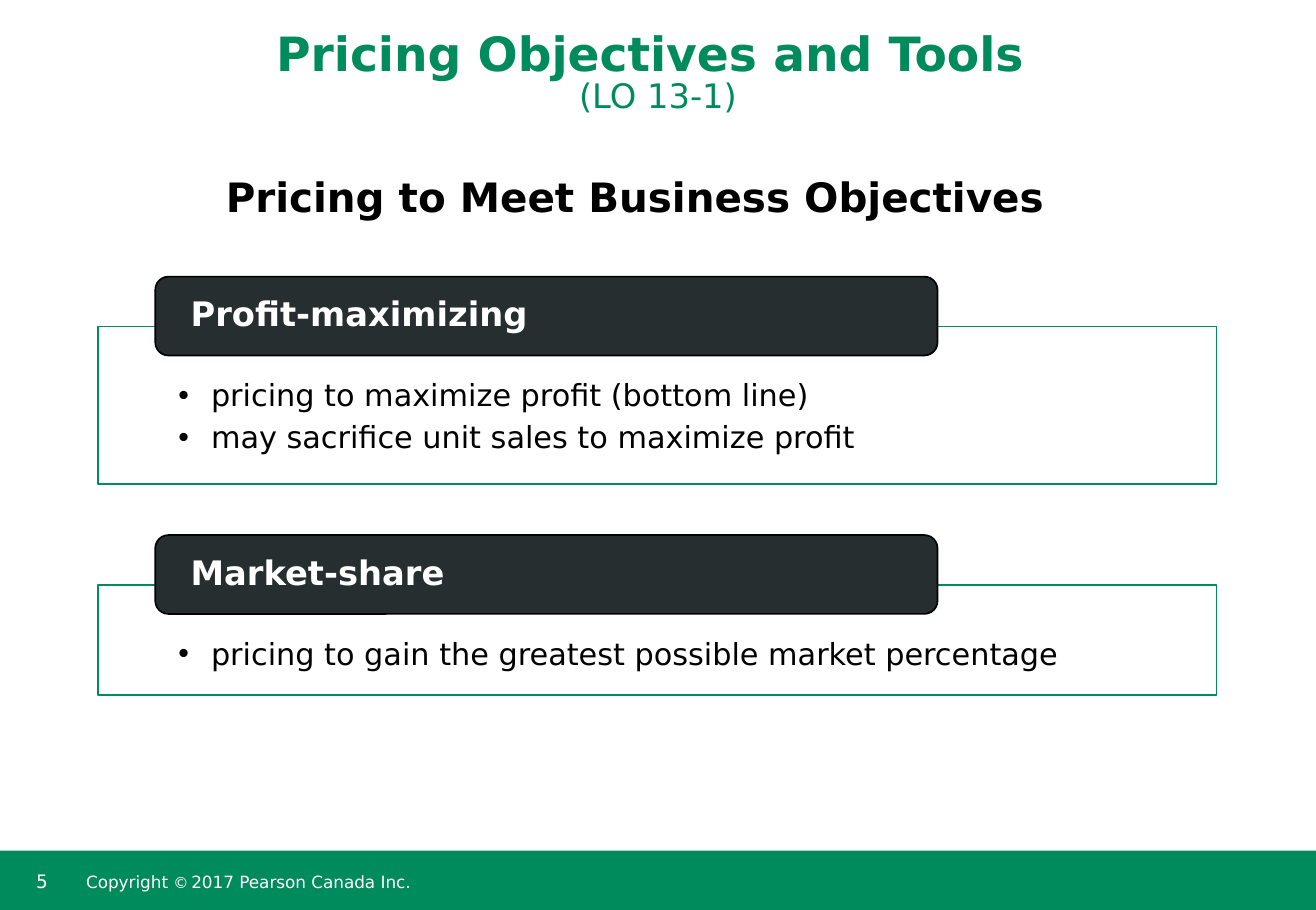
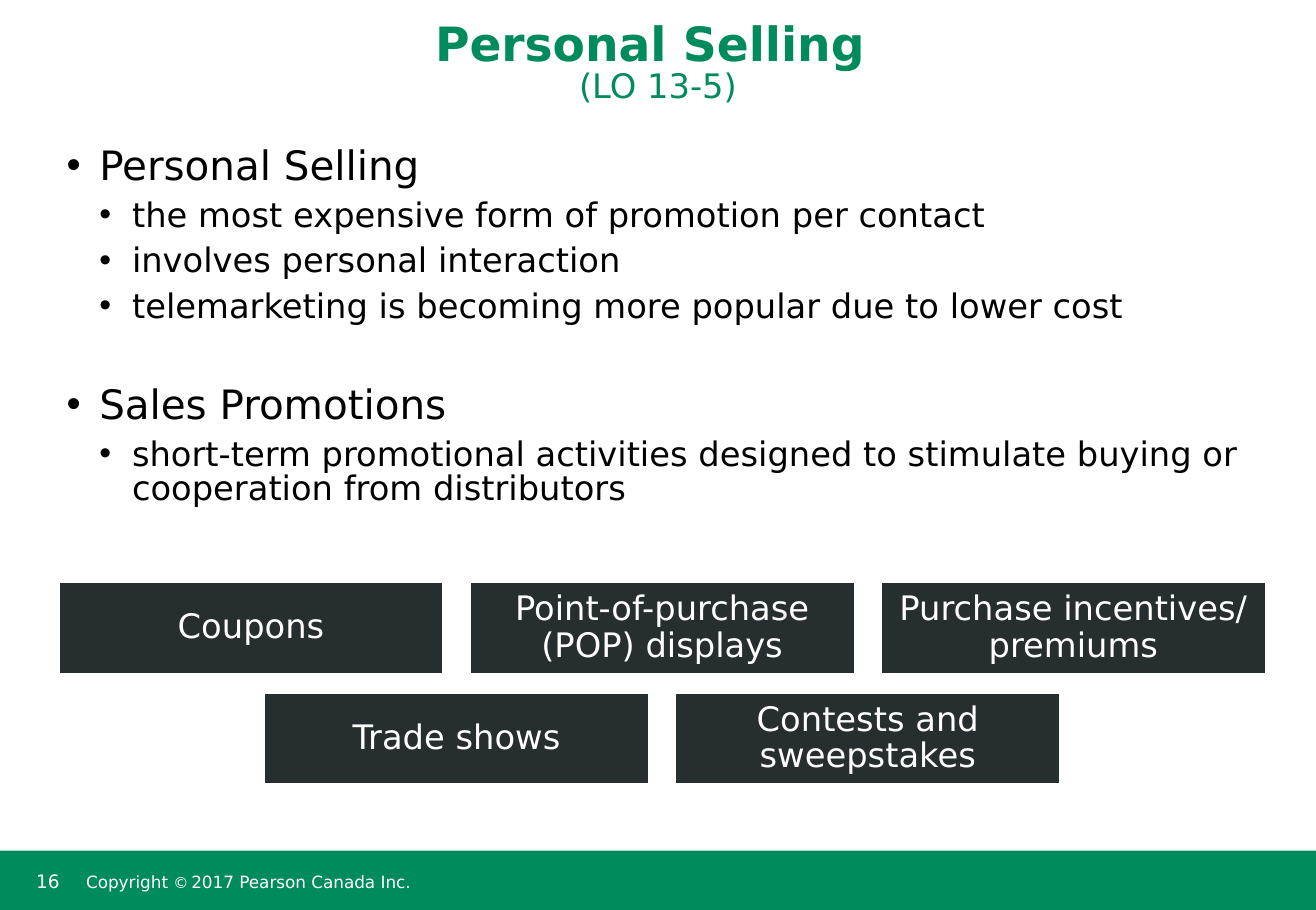
from copy import deepcopy
from dataclasses import dataclass

from lxml import etree
from pptx import Presentation
from pptx.dml.color import RGBColor
from pptx.enum.shapes import MSO_SHAPE
from pptx.enum.text import MSO_ANCHOR, MSO_AUTO_SIZE, PP_ALIGN
from pptx.oxml.ns import qn
from pptx.util import Inches, Pt

RECTANGLE, ROUNDED = MSO_SHAPE.RECTANGLE, MSO_SHAPE.ROUNDED_RECTANGLE
TOP, MIDDLE, BOTTOM = MSO_ANCHOR.TOP, MSO_ANCHOR.MIDDLE, MSO_ANCHOR.BOTTOM
LEFT, CENTER = PP_ALIGN.LEFT, PP_ALIGN.CENTER
NO_AUTOFIT = MSO_AUTO_SIZE.NONE


@dataclass(frozen=True)
class Theme:
    font: str = "DejaVu Sans"
    green: str = "008B5D"
    dark: str = "272E30"
    white: str = "FFFFFF"
    black: str = "000000"
    title: int = 28
    heading: int = 24
    label: int = 20
    body: int = 18
    number: int = 11
    footer: int = 10
    symbol: int = 9
    thin_space: int = 5
    tight: float = 0.85
    snug: float = 0.9
    after: float = 6.5


THEME = Theme()
WIDTH, HEIGHT = 10.85, 7.5
INDENT = 0.27
INSETS = (0.1, 0.05, 0.1, 0.05)


def apply(target, values):
    for name, value in values.items():
        setattr(target, name, value)


class Deck:
    def __init__(self):
        self.file = Presentation()
        self.file.slide_width, self.file.slide_height = Inches(WIDTH), Inches(HEIGHT)
        self.page = None

    # Text helpers
    def frame(self, shape, anchor=TOP, insets=INSETS):
        frame = shape.text_frame
        left, top, right, bottom = map(Inches, insets)
        apply(frame, {
            "word_wrap": True, "auto_size": NO_AUTOFIT, "vertical_anchor": anchor,
            "margin_left": left, "margin_top": top,
            "margin_right": right, "margin_bottom": bottom,
        })
        return frame

    def para(self, frame, first, align=LEFT, spacing=THEME.tight, before=0):
        para = frame.paragraphs[0] if first else frame.add_paragraph()
        apply(para, {
            "alignment": align, "line_spacing": spacing,
            "space_before": Pt(0 if first else before), "space_after": Pt(THEME.after),
        })
        return para

    def span(self, para, text, size, color, bold=False):
        span = para.add_run()
        span.text = text
        apply(span.font, {"name": THEME.font, "size": Pt(size), "bold": bold})
        span.font.color.rgb = RGBColor.from_string(color)
        return span

    def bullet(self, para, level):
        para.level = level
        properties = para._p.get_or_add_pPr()
        properties.set("marL", str(Inches(INDENT * (level + 1))))
        properties.set("indent", str(-Inches(INDENT)))
        etree.SubElement(properties, qn("a:buFont")).set("typeface", "Arial")
        etree.SubElement(properties, qn("a:buChar")).set("char", "•")

    # Elements
    def text(self, at, text, size, color, bold=False, align=LEFT):
        box = self.page.shapes.add_textbox(*map(Inches, at))
        para = self.para(self.frame(box), True, align)
        self.span(para, text, size, color, bold)

    def bullets(self, frame, items):
        """Each item is text, size, level and space before."""
        for index, (text, size, level, before) in enumerate(items):
            para = self.para(frame, index == 0, before=before)
            self.bullet(para, level)
            self.span(para, text, size, THEME.black)

    def outline(self, at, items):
        box = self.page.shapes.add_textbox(*map(Inches, at))
        self.bullets(self.frame(box), items)

    def box(self, kind, at, fill, line=None):
        box = self.page.shapes.add_shape(kind, *map(Inches, at))
        box.shadow.inherit = False
        box.fill.solid()
        box.fill.fore_color.rgb = RGBColor.from_string(fill)
        if line:
            box.line.color.rgb = RGBColor.from_string(line)
            box.line.width = Pt(1)
        else:
            box.line.fill.background()
        return box

    def label(self, box, text, insets, align=LEFT, bold=False):
        para = self.para(self.frame(box, MIDDLE, insets), True, align, THEME.snug)
        self.span(para, text, THEME.label, THEME.white, bold)

    def footer(self, number):
        top, height = 7.01, 0.49
        self.box(RECTANGLE, (0, top, WIDTH, height), THEME.green)
        box = self.page.shapes.add_textbox(*map(Inches, (0.2, 7.12, 0.47, 0.32)))
        para = self.para(self.frame(box), True, spacing=1.0)
        self.span(para, str(number), THEME.number, THEME.white)
        box = self.page.shapes.add_textbox(*map(Inches, (0.66, top, 5.78, height)))
        para = self.para(self.frame(box, MIDDLE, (0.05, 0.1, 0.05, 0.05)), True)
        for text, size in (
            ("Copyright ", THEME.footer), ("©", THEME.symbol),
            (" ", THEME.thin_space), ("2017 Pearson Canada Inc.", THEME.footer),
        ):
            self.span(para, text, size, THEME.white)

    def start(self, number, title, objective, title_height):
        self.page = self.file.slides.add_slide(self.file.slide_layouts[5])
        self.footer(number)
        box = self.page.shapes.title
        apply(box, {"left": 0, "top": 0, "width": Inches(WIDTH),
                    "height": Inches(title_height)})
        para = self.para(self.frame(box, BOTTOM), True, CENTER)
        span = self.span(para, title + " ", THEME.title, THEME.green, True)
        para.add_line_break()
        # The break takes the title's size so that it does not raise the line
        para._p[-1].append(deepcopy(span._r.rPr))
        self.span(para, objective, THEME.label, THEME.green)

    def panel(self, top, heading, lines):
        """Draw a panel with its heading tab and return the panel's bottom."""
        height = 0.52 + 0.39 * len(lines)
        panel = self.box(RECTANGLE, (0.81, top, 9.22, height), THEME.white, THEME.green)
        frame = self.frame(panel, insets=(0.66, 0.46, 0.66, 0.16))
        self.bullets(frame, [(line, THEME.body, 0, 0) for line in lines])
        tab = self.box(ROUNDED, (1.28, top - 0.41, 6.45, 0.65), THEME.dark, THEME.black)
        self.label(tab, heading, (0.26, 0.03, 0.26, 0.03), bold=True)
        return top + height

    def tiles(self, top, rows):
        width, height, gap, row_gap, center = 3.17, 0.75, 0.22, 0.16, 5.46
        for row, names in enumerate(rows):
            left = center - (len(names) * (width + gap) - gap) / 2
            for column, name in enumerate(names):
                at = (left + column * (width + gap), top + row * (height + row_gap),
                      width, height)
                tile = self.box(RECTANGLE, at, THEME.dark, THEME.white)
                self.label(tile, name, (0.12,) * 4, CENTER)


def main():
    deck = Deck()

    # Pricing objectives
    deck.start(5, "Pricing Objectives and Tools", "(LO 13-1)", 1)
    deck.text((0.26, 1.43, 9.95, 0.58), "Pricing to Meet Business Objectives",
              THEME.heading, THEME.black, True, CENTER)
    top = 2.69
    for heading, lines in (
        ("Profit-maximizing", ["pricing to maximize profit (bottom line)",
                               "may sacrifice unit sales to maximize profit"]),
        ("Market-share", ["pricing to gain the greatest possible market percentage"]),
    ):
        top = deck.panel(top, heading, lines) + 0.83

    # Personal selling
    deck.start(16, "Personal Selling", "(LO 13-5)", 0.92)
    deck.outline((0.45, 1.17, 9.95, 3.46), [
        ("Personal Selling", THEME.heading, 0, 0),
        ("the most expensive form of promotion per contact", THEME.label, 1, 0),
        ("involves personal interaction", THEME.label, 1, 0),
        ("telemarketing is becoming more popular due to lower cost", THEME.label, 1, 0),
        ("Sales Promotions", THEME.heading, 0, 30),
        ("short-term promotional activities designed to stimulate buying or "
         "cooperation from distributors", THEME.label, 1, 0),
    ])
    deck.tiles(4.8, [
        ["Coupons", "Point-of-purchase (POP) displays", "Purchase incentives/ premiums"],
        ["Trade shows", "Contests and sweepstakes"],
    ])

    deck.file.save("out.pptx")


if __name__ == "__main__":
    main()
